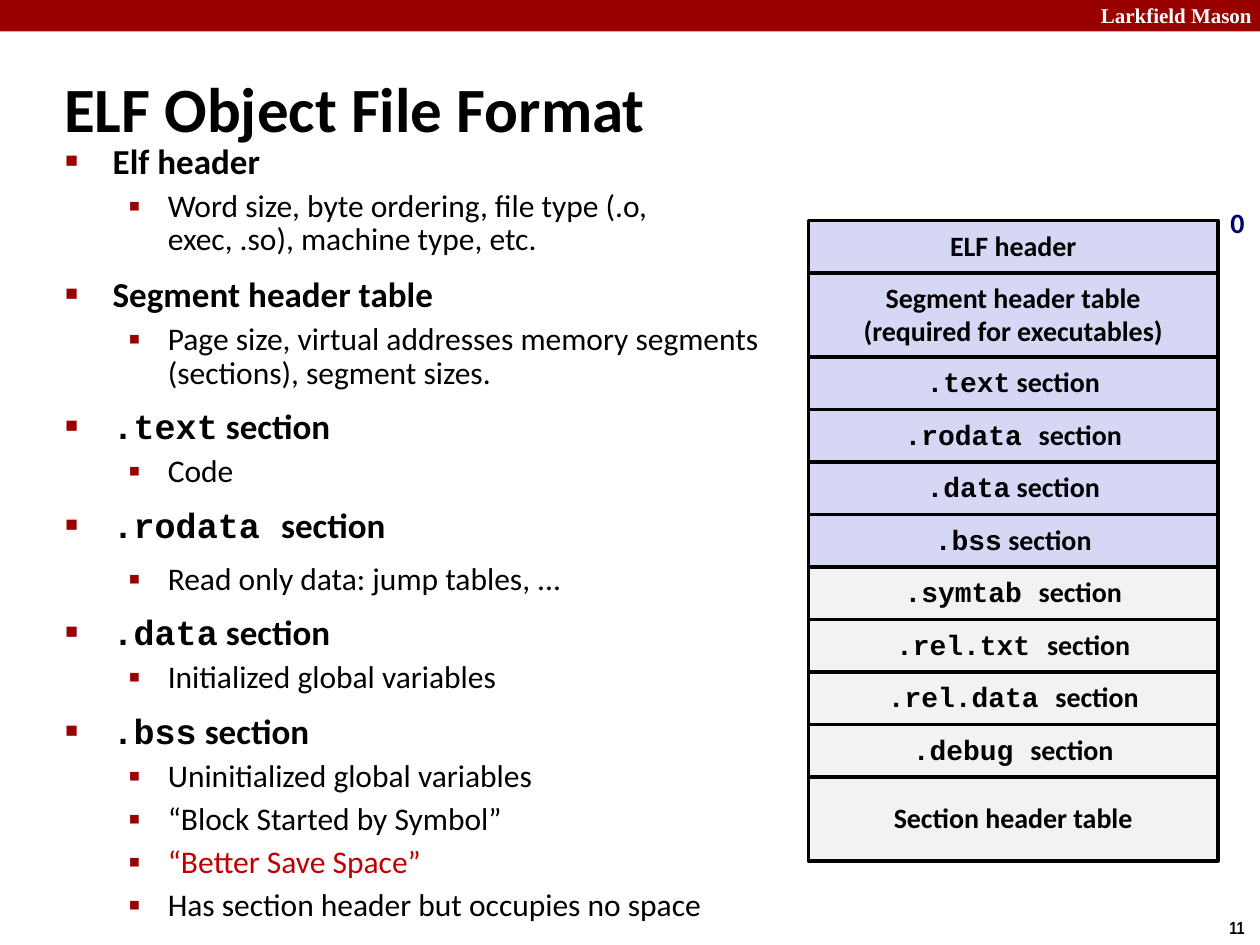
from pptx import Presentation
from pptx.dml.color import RGBColor as RGB
from pptx.enum.shapes import MSO_SHAPE as SHAPE
from pptx.enum.text import MSO_ANCHOR as ANCHOR, MSO_AUTO_SIZE as FIT, PP_ALIGN as ALIGN
from pptx.oxml.xmlchemy import OxmlElement as Element
from pptx.util import Pt

THEME = {
    "red": "990000", "accent": "C00000", "navy": "000066",
    "black": "000000", "white": "FFFFFF",
    "loaded": "D6D6F5", "unloaded": "F2F2F2",
    "sans": "Calibri", "code": "Courier New",
    "serif": "Times New Roman", "narrow": "Arial Narrow",
    "title": 36, "head": 20, "item": 18, "cell": 16, "brand": 12, "page": 10,
}


def write(par, text, size, color="black", bold=True, face="sans"):
    """Fill a paragraph; anything before a bar is set in the code font."""
    code, _, rest = text.rpartition("|")
    for part, name in ((code, "code"), (rest, face)):
        if part:
            run = par.add_run()
            run.text = part
            look = {"name": THEME[name], "size": Pt(THEME[size]), "bold": bold}
            for key, value in look.items():
                setattr(run.font, key, value)
            run.font.color.rgb = RGB.from_string(THEME[color])


def indent(par, left, hang, bullet=None, scale=100):
    props = par._p.get_or_add_pPr()
    props.set("marL", str(Pt(left)))
    props.set("indent", str(-Pt(hang)))
    if not bullet:
        return
    tint = Element("a:buClr")
    rgb = Element("a:srgbClr")
    rgb.set("val", THEME["red"])
    tint.append(rgb)
    props.append(tint)
    for tag, key, value in (("a:buSzPct", "val", str(scale * 1000)),
                            ("a:buFont", "typeface", "Arial"),
                            ("a:buChar", "char", bullet)):
        node = Element(tag)
        node.set(key, value)
        props.append(node)


deck = Presentation()
deck.slide_width, deck.slide_height = Pt(720), Pt(540)
slide = deck.slides.add_slide(deck.slide_layouts[1])
shapes = slide.shapes

# Top band
band = shapes.add_shape(SHAPE.RECTANGLE, 0, 0, Pt(720), Pt(18))
band.shadow.inherit = False
band.fill.solid()
band.fill.fore_color.rgb = RGB.from_string(THEME["red"])
band.line.fill.background()

# Title and list
title, body = slide.placeholders
for holder, box in ((title, (29.5, 30.2, 686, 62)), (body, (30.2, 80, 421.2, 424))):
    for key, value in zip(("left", "top", "width", "height"), box):
        setattr(holder, key, Pt(value))
    holder.text_frame.auto_size = FIT.NONE

title.text_frame.vertical_anchor = ANCHOR.MIDDLE
par = title.text_frame.paragraphs[0]
par.alignment = ALIGN.LEFT
write(par, "ELF Object File Format", "title")

topics = [
    ("Elf header", ["Word size, byte ordering, file type (.o, exec, .so), machine type, etc."]),
    ("Segment header table",
     ["Page size, virtual addresses memory segments (sections), segment sizes."]),
    (".text| section", ["Code"]),
    (".rodata |section", ["Read only data: jump tables, ..."]),
    (".data| section", ["Initialized global variables"]),
    (".bss| section", ["Uninitialized global variables", "“Block Started by Symbol”",
                       "“Better Save Space”", "Has section header but occupies no space"]),
]
frame = body.text_frame
par = frame.paragraphs[0]
for head, items in topics:
    if par is None:
        par = frame.add_paragraph()
    par.line_spacing = 0.8 if "|" in head else 0.83
    par.space_before = Pt(12.5)
    indent(par, 27, 27, "■", 60)
    write(par, head, "head")
    for item in items:
        par = frame.add_paragraph()
        par.level = 1
        loose = item.startswith("Read only")
        par.line_spacing = 0.8 if loose else 0.88
        par.space_before = Pt(12.5 if loose else 5.6)
        indent(par, 58.5, 22.5, "▪", 110)
        write(par, item, "item", "accent" if "Better" in item else "black", False)
    par = None

# File layout, stacked from offset 0
rows = [
    (30, "loaded", ["ELF header"]),
    (48, "loaded", ["Segment header table", "(required for executables)"]),
    (30, "loaded", [".text| section"]),
    (30, "loaded", [".rodata |section"]),
    (30, "loaded", [".data| section"]),
    (30, "loaded", [".bss| section"]),
    (30, "unloaded", [".symtab |section"]),
    (30, "unloaded", [".rel.txt |section"]),
    (30, "unloaded", [".rel.data |section"]),
    (30, "unloaded", [".debug |section"]),
    (48, "unloaded", ["Section header table"]),
]
top = 126
for high, fill, lines in rows:
    cell = shapes.add_shape(SHAPE.RECTANGLE, Pt(462), Pt(top), Pt(234), Pt(high))
    cell.shadow.inherit = False
    cell.fill.solid()
    cell.fill.fore_color.rgb = RGB.from_string(THEME[fill])
    cell.line.color.rgb = RGB.from_string(THEME["black"])
    cell.line.width = Pt(2)
    frame = cell.text_frame
    frame.word_wrap = False
    frame.vertical_anchor = ANCHOR.MIDDLE
    for num, line in enumerate(lines):
        par = frame.add_paragraph() if num else frame.paragraphs[0]
        par.alignment = ALIGN.CENTER
        par.line_spacing = 0.94 if "|" in line else 0.98
        write(par, line, "cell")
    top += high

# Loose labels: text, box, size, colour, face
labels = [
    ("Larkfield Mason", (622, -2, 103, 21.6), "brand", "white", "serif"),
    ("0", (696, 114, 22.3, 26.6), "cell", "navy", "sans"),
    ("11", (695.5, 520.5, 24.5, 19.4), "page", "black", "narrow"),
]
for text, box, size, color, face in labels:
    frame = shapes.add_textbox(*map(Pt, box)).text_frame
    frame.word_wrap = False
    frame.auto_size = FIT.SHAPE_TO_FIT_TEXT
    write(frame.paragraphs[0], text, size, color, face=face)

deck.save("out.pptx")
